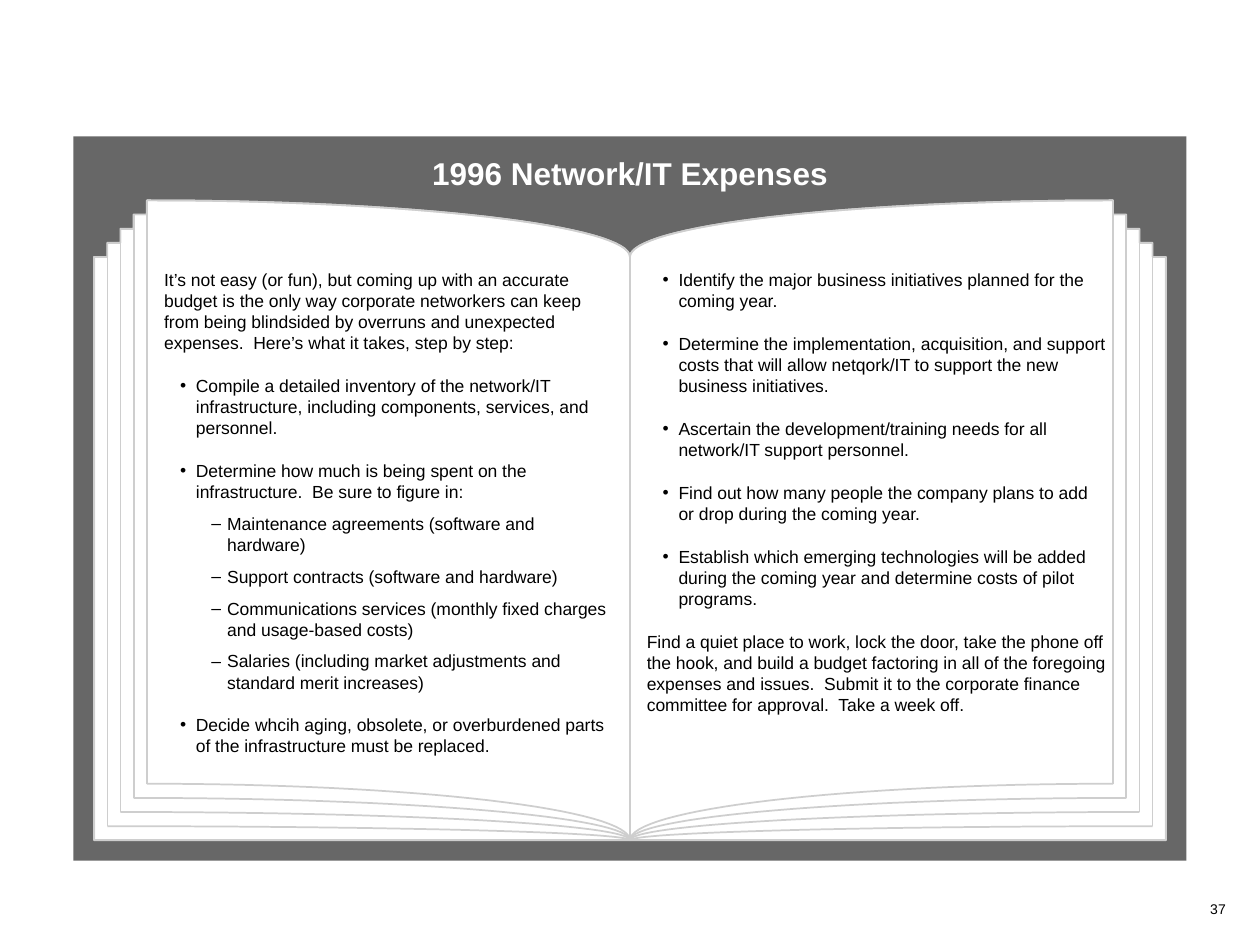
from math import cos, sin, pi
from lxml.etree import SubElement as Sub
from pptx import Presentation
from pptx.dml.color import RGBColor
from pptx.enum.shapes import MSO_CONNECTOR as Conn, MSO_SHAPE as Kind
from pptx.enum.text import MSO_ANCHOR as Anchor, PP_ALIGN as Align
from pptx.oxml.ns import qn
from pptx.util import Cm, Pt

# Book geometry in cm; the two halves mirror about the spine
SPINE, HEAD, FOOT = 12.7, 5.18, 16.94
EDGE, TOP, LOW = 9.74, 4.04, 15.8
OUT, DOWN = 0.265, 0.285
SHEETS = 5
GREY, RIM, RULE = "676767", "DADADA", "CECECE"
BLACK, WHITE = "000000", "FFFFFF"

# Paragraph styles: bullet, left indent, space before
STYLES = {
    "body": (None, 0, 12.5),
    "item": ("•", 0.64, 12.5),
    "sub": ("–", 1.27, 6.2),
}
HANG = 0.32

LEFT = [
    ("body", "It’s not easy (or fun), but coming up with an accurate budget is the "
     "only way corporate networkers can keep from being blindsided by overruns and "
     "unexpected expenses.  Here’s what it takes, step by step:"),
    ("item", "Compile a detailed inventory of the network/IT infrastructure, "
     "including components, services, and personnel."),
    ("item", "Determine how much is being spent on the infrastructure.  "
     "Be sure to figure in:"),
    ("sub", "Maintenance agreements (software and hardware)"),
    ("sub", "Support contracts (software and hardware)"),
    ("sub", "Communications services (monthly fixed charges and usage-based costs)"),
    ("sub", "Salaries (including market adjustments and standard merit increases)"),
    ("item", "Decide whcih aging, obsolete, or overburdened parts of the "
     "infrastructure must be replaced."),
]
RIGHT = [
    ("item", "Identify the major business initiatives planned for the coming year."),
    ("item", "Determine the implementation, acquisition, and support costs that "
     "will allow netqork/IT to support the new business initiatives."),
    ("item", "Ascertain the development/training needs for all network/IT "
     "support personnel."),
    ("item", "Find out how many people the company plans to add or drop during "
     "the coming year."),
    ("item", "Establish which emerging technologies will be added during the "
     "coming year and determine costs of pilot programs."),
    ("body", "Find a quiet place to work, lock the door, take the phone off the "
     "hook, and build a budget factoring in all of the foregoing expenses and "
     "issues.  Submit it to the corporate finance committee for approval.  "
     "Take a week off."),
]


def rgb(code):
    return RGBColor.from_string(code)


def apply(obj, form):
    for key, val in form.items():
        setattr(obj, key, val)


def paint(shape, fill=None, line=None):
    shape.shadow.inherit = False
    if fill:
        shape.fill.solid()
        shape.fill.fore_color.rgb = rgb(fill)
    else:
        shape.fill.background()
    if line:
        shape.line.color.rgb = rgb(line)
        shape.line.width = Pt(1)
    else:
        shape.line.fill.background()


def draw(shapes, points, line, fill=None):
    pts = [(Cm(x), Cm(y)) for x, y in points]
    pen = shapes.build_freeform(*pts[0], scale=1.0)
    pen.add_line_segments(pts[1:], close=bool(fill))
    paint(pen.convert_to_shape(), fill, line)


def rule(shapes, x, y, end):
    line = shapes.add_connector(Conn.STRAIGHT, Cm(x), Cm(y), Cm(x), Cm(end))
    line.line.color.rgb = rgb(RULE)
    line.line.width = Pt(1)
    Sub(line._element.spPr, qn("a:effectLst"))


def edge(side, num):
    return SPINE + side * (EDGE + OUT * num)


def arc(side, num, high, base):
    """Quarter ellipse from the outer edge of a sheet to the spine."""
    steps = 32
    wide, rise = EDGE + OUT * num, base - high
    turns = [pi / 2 * (1 - k / steps) for k in range(steps + 1)]
    return [(SPINE + side * wide * (1 - cos(t)), base - rise * sin(t)) for t in turns]


def stack(shapes, side):
    """White body of one half, with its stepped outer edge."""
    points = arc(side, 0, TOP, HEAD)[::-1]
    for num in range(1, SHEETS):
        high = TOP + DOWN * num
        points += [(edge(side, num - 1), high), (edge(side, num), high)]
    points += [(edge(side, SHEETS - 1), FOOT), (SPINE, FOOT)]
    draw(shapes, points, RIM, WHITE)


def sheets(shapes, side):
    """Inner page lines of one half."""
    for num in range(SHEETS - 1):
        draw(shapes, arc(side, num, LOW + DOWN * num, FOOT), RULE)
    rule(shapes, edge(side, 0), LOW, TOP)
    draw(shapes, arc(side, 0, TOP, HEAD), RULE)
    for num in range(1, SHEETS - 1):
        high, x = TOP + DOWN * num, edge(side, num)
        draw(shapes, [(edge(side, num - 1), high), (x, high),
                      (x, LOW + DOWN * num)], RULE)


def book(shapes):
    for side in (1, -1):
        stack(shapes, side)
    last = SHEETS - 1
    draw(shapes, [(edge(-1, last - 1), HEAD), (edge(-1, last), HEAD),
                  (edge(-1, last), FOOT), (edge(1, last), FOOT),
                  (edge(1, last), HEAD), (edge(1, last - 1), HEAD)], RULE)
    sheets(shapes, -1)
    rule(shapes, SPINE, HEAD, FOOT)
    sheets(shapes, 1)


def bullet(para, mark, left):
    props = para._p.get_or_add_pPr()
    props.set("marL", str(Cm(left)))
    props.set("indent", str(-Cm(HANG)))
    tint = Sub(props, qn("a:buClr"))
    Sub(tint, qn("a:srgbClr"), val=BLACK)
    Sub(props, qn("a:buFont"), typeface="Arial")
    Sub(props, qn("a:buChar"), char=mark)


def text(shapes, box, paras, size=10, color=BLACK, bold=False,
         align=Align.LEFT, anchor=Anchor.TOP, pad=0.13):
    frame = shapes.add_textbox(*map(Cm, box)).text_frame
    apply(frame, {"word_wrap": True, "vertical_anchor": anchor})
    apply(frame, {"margin_" + end: Cm(pad)
                  for end in ("left", "top", "right", "bottom")})
    for num, (style, words) in enumerate(paras):
        para = frame.add_paragraph() if num else frame.paragraphs[0]
        mark, left, gap = STYLES[style]
        apply(para, {"alignment": align, "space_before": Pt(gap * size / 10)})
        if mark:
            para.level = 1 if style == "item" else 2
            bullet(para, mark, left)
        run = para.add_run()
        run.text = words
        apply(run.font, {"name": "Arial", "size": Pt(size), "bold": bold})
        run.font.color.rgb = rgb(color)


def main():
    deck = Presentation()
    apply(deck, {"slide_width": Cm(25.4), "slide_height": Cm(19.05)})
    shapes = deck.slides.add_slide(deck.slide_layouts[6]).shapes

    # Page number
    text(shapes, (24.13, 18.03, 0.85, 0.58), [("body", "37")], 8, align=Align.CENTER)

    # Backdrop and open book
    back = shapes.add_shape(Kind.RECTANGLE, Cm(1.48), Cm(2.75), Cm(22.44), Cm(14.6))
    paint(back, GREY)
    book(shapes)

    # Left page, title, right page
    text(shapes, (3.18, 5.29, 9.31, 10.37), LEFT)
    text(shapes, (1.48, 2.75, 22.44, 1.48), [("body", "1996 Network/IT Expenses")],
         18, WHITE, True, Align.CENTER, Anchor.MIDDLE, 0)
    text(shapes, (12.91, 5.29, 9.53, 10.37), RIGHT)

    deck.save("out.pptx")


if __name__ == "__main__":
    main()
